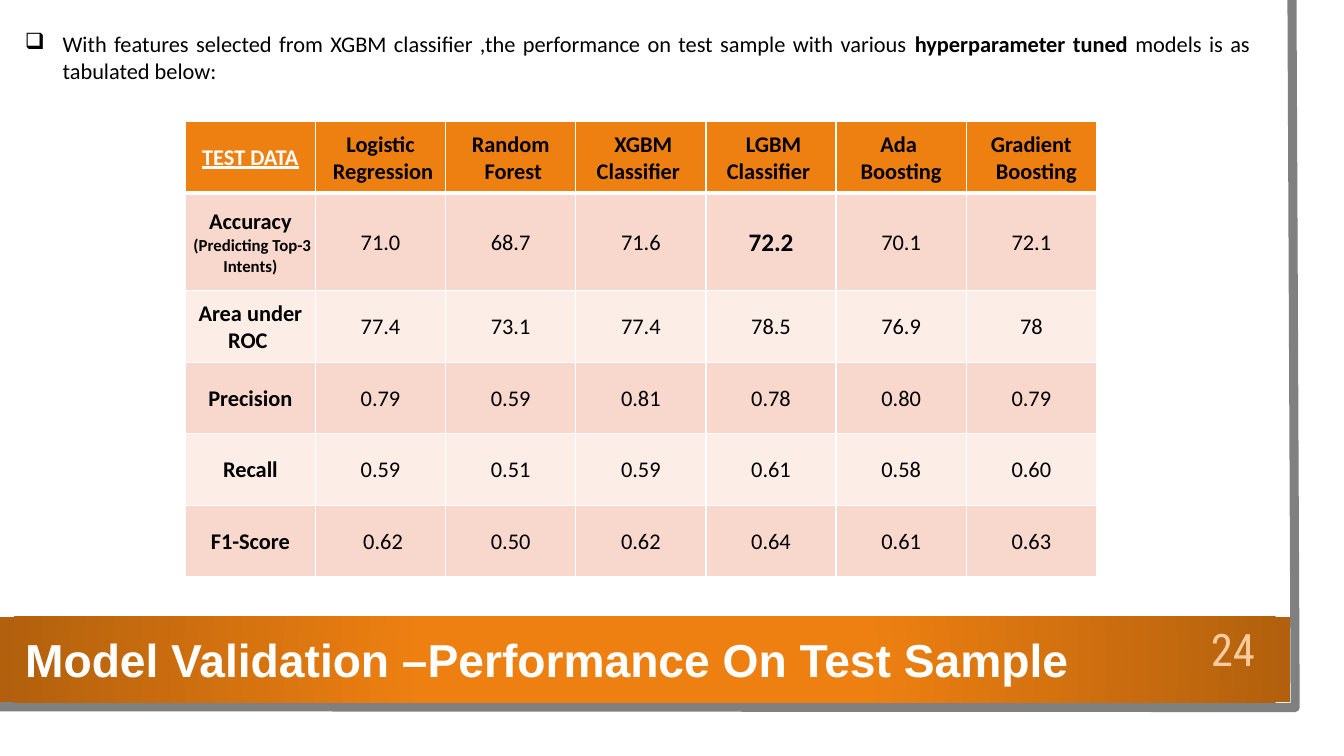
"""Build a slide with a table of model performance on the test sample."""
from copy import deepcopy
from dataclasses import dataclass

from lxml import etree
from pptx import Presentation
from pptx.dml.color import RGBColor
from pptx.enum.shapes import MSO_SHAPE
from pptx.enum.text import MSO_ANCHOR, MSO_AUTO_SIZE, PP_ALIGN
from pptx.oxml import parse_xml
from pptx.oxml.ns import nsdecls, qn
from pptx.util import Cm, Pt

RECT = MSO_SHAPE.RECTANGLE
MIDDLE, TOP = MSO_ANCHOR.MIDDLE, MSO_ANCHOR.TOP
LEFT, CENTER, JUSTIFY = PP_ALIGN.LEFT, PP_ALIGN.CENTER, PP_ALIGN.JUSTIFY
NO_FIT = MSO_AUTO_SIZE.NONE


@dataclass(frozen=True)
class Theme:
    white: str = "FFFFFF"
    black: str = "000000"
    gray: str = "808080"
    orange: str = "EE8011"
    dark_orange: str = "B2600D"
    number: str = "F8CCA0"
    bands: tuple = ("F8D8CC", "FCEDE7")
    title_font: str = "Arial"
    body_font: str = "Calibri"
    number_font: str = "Roboto Condensed"
    title_size: int = 33
    number_size: int = 32
    body_size: int = 16
    best_size: int = 18
    note_size: int = 12
    frame_width: float = 6.5


class Deck:
    def __init__(self, theme):
        self.theme = theme
        self.prs = Presentation()
        self.prs.slide_width, self.prs.slide_height = Cm(33.87), Cm(19.05)
        self.s = self.prs.slides.add_slide(self.prs.slide_layouts[5])

    def fill_text(self, tf, runs, align, anchor=MIDDLE, color=None, **base):
        for key, value in {"word_wrap": True, "vertical_anchor": anchor}.items():
            setattr(tf, key, value)
        p = tf.paragraphs[0]
        p.alignment = align
        base = {"name": self.theme.body_font, "size": self.theme.body_size, **base}
        for text, extra in runs:
            for i, line in enumerate(text.split("\n")):
                if i:
                    p.add_line_break()
                    p._p[-1].append(deepcopy(r._r.rPr))
                r = p.add_run()
                r.text = line
                for key, value in {**base, **extra}.items():
                    setattr(r.font, key, Pt(value) if key == "size" else value)
                r.font.color.rgb = RGBColor.from_string(color or self.theme.black)
        return p

    def rect(self, box, color):
        sp = self.s.shapes.add_shape(RECT, *map(Cm, box))
        sp.shadow.inherit = False
        sp.fill.solid()
        sp.fill.fore_color.rgb = RGBColor.from_string(color)
        sp.line.fill.background()
        return sp

    def banner(self, box, inner, outer):
        sp = self.rect(box, inner)
        solid = sp._element.spPr.find(qn("a:solidFill"))
        solid.getparent().replace(solid, parse_xml(
            f'<a:gradFill {nsdecls("a")} rotWithShape="1"><a:gsLst>'
            f'<a:gs pos="34000"><a:srgbClr val="{inner}"/></a:gs>'
            f'<a:gs pos="100000"><a:srgbClr val="{outer}"/></a:gs></a:gsLst>'
            '<a:path path="circle"><a:fillToRect l="50000" t="50000" r="50000" b="50000"/>'
            '</a:path></a:gradFill>'))

    def outline(self, points, color, width):
        start, *rest = [(Cm(x), Cm(y)) for x, y in points]
        builder = self.s.shapes.build_freeform(*start)
        builder.add_line_segments(rest, close=False)
        sp = builder.convert_to_shape()
        sp.shadow.inherit = False
        sp.fill.background()
        sp.line.color.rgb = RGBColor.from_string(color)
        sp.line.width = Pt(width)

    def title(self, box, text, **fmt):
        sp = self.s.shapes.title
        sp.left, sp.top, sp.width, sp.height = map(Cm, box)
        sp._element.getparent().append(sp._element)
        sp.text_frame.auto_size = NO_FIT
        self.fill_text(sp.text_frame, [(text, {})], LEFT, **fmt)

    def text(self, box, runs, align, bullet=None, indent=0, **fmt):
        sp = self.s.shapes.add_textbox(*map(Cm, box))
        p = self.fill_text(sp.text_frame, runs, align, **fmt)
        if bullet:
            pPr = p._p.get_or_add_pPr()
            pPr.set("marL", str(Cm(indent)))
            pPr.set("indent", str(-Cm(indent)))
            etree.SubElement(pPr, qn("a:buChar")).set("char", bullet)

    def border(self, cell, header):
        tcPr = cell._tc.get_or_add_tcPr()
        for side in "LRTB":
            width = Pt(3 if header and side == "B" else 1)
            tcPr.append(parse_xml(
                f'<a:ln{side} {nsdecls("a")} w="{width}"><a:solidFill>'
                f'<a:srgbClr val="{self.theme.white}"/></a:solidFill></a:ln{side}>'))

    def table(self, left, top, col_width, heights, rows):
        t = self.theme
        tbl = self.s.shapes.add_table(
            len(rows), len(rows[0]), Cm(left), Cm(top),
            Cm(col_width * len(rows[0])), Cm(sum(heights))).table
        for col in tbl.columns:
            col.width = Cm(col_width)
        for i, (height, row) in enumerate(zip(heights, rows)):
            tbl.rows[i].height = Cm(height)
            for j, value in enumerate(row):
                cell = tbl.cell(i, j)
                corner = i == j == 0
                self.border(cell, i == 0)
                cell.fill.solid()
                cell.fill.fore_color.rgb = RGBColor.from_string(
                    t.bands[(i - 1) % 2] if i else t.orange)
                cell.vertical_anchor = MIDDLE
                if not corner:
                    cell.margin_left = cell.margin_top = cell.margin_right = Cm(0.03)
                    cell.margin_bottom = 0
                runs = [(value, {})] if isinstance(value, str) else value
                self.fill_text(cell.text_frame, runs, CENTER, bold=i * j == 0,
                               underline=corner, color=t.white if corner else t.black)


def main():
    t = Theme()
    deck = Deck(t)
    deck.rect((0, 0, 33.27, 18.47), t.white)
    deck.outline([(32.56, 0), (32.64, 17.83), (-0.08, 17.81)], t.gray, t.frame_width)
    deck.banner((0, 15.54, 32.51, 2.16), t.orange, t.dark_orange)
    deck.title((0.38, 15.85, 30.71, 1.52), "Model Validation –Performance On Test Sample",
               name=t.title_font, size=t.title_size, color=t.white, bold=True)
    deck.text((29.82, 15.65, 2.51, 1.4), [("24", {})], CENTER,
              name=t.number_font, size=t.number_size, color=t.number)

    accuracy = [("Accuracy\n", {}), (" (Predicting Top-3 Intents)", {"size": t.note_size})]
    best = [("72.2", {"size": t.best_size, "bold": True})]
    rows = [
        ["TEST DATA", "Logistic\n Regression", "Random\n Forest", " XGBM\nClassifier ",
         " LGBM\nClassifier ", "Ada \nBoosting", "Gradient\n  Boosting"],
        [accuracy, "71.0", "68.7", "71.6", best, "70.1", "72.1"],
        ["Area under ROC ", "77.4", "73.1", "77.4", "78.5", "76.9", "78"],
        ["Precision", "0.79", "0.59", "0.81", "0.78", "0.80", "0.79"],
        ["Recall", "0.59", "0.51", "0.59", "0.61", "0.58", "0.60"],
        ["F1-Score", " 0.62", "0.50", "0.62", "0.64", "0.61", "0.63"],
    ]
    deck.table(4.67, 3.07, 3.28, [1.8, 2.46] + [1.8] * 4, rows)
    deck.text((0.38, 0.64, 31.37, 1.63), [
        ("With features selected from XGBM classifier ,the performance on test sample "
         "with various ", {}),
        ("hyperparameter tuned", {"bold": True}),
        (" models is as tabulated below:", {}),
    ], JUSTIFY, bullet="❑", indent=0.95, anchor=TOP)
    deck.prs.save("out.pptx")


if __name__ == "__main__":
    main()
